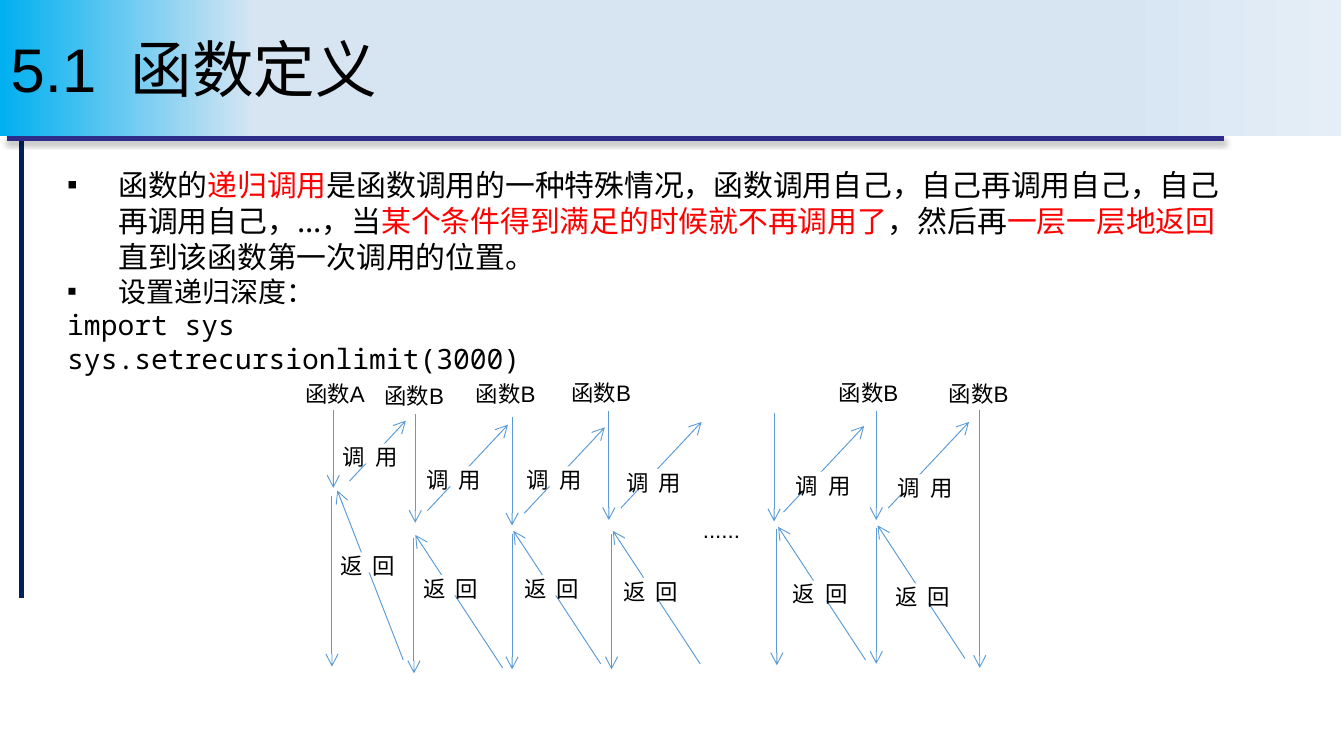
from dataclasses import dataclass

from lxml import etree
from pptx import Presentation
from pptx.dml.color import RGBColor
from pptx.enum.shapes import MSO_CONNECTOR, MSO_SHAPE
from pptx.enum.text import MSO_ANCHOR, PP_ALIGN
from pptx.oxml.ns import qn
from pptx.util import Pt

STRAIGHT = MSO_CONNECTOR.STRAIGHT
RECT = MSO_SHAPE.RECTANGLE
TOP, MIDDLE = MSO_ANCHOR.TOP, MSO_ANCHOR.MIDDLE
LEFT = PP_ALIGN.LEFT
PX = 9144  # 100 px to the inch


@dataclass(frozen=True)
class Theme:
    ink: str = "000000"
    accent: str = "FF0000"
    paper: str = "FFFFFF"
    arrow: str = "5B9BD5"
    side_rule: str = "002060"
    top_rule: str = "2D2D89"
    banner: tuple = ((0, "00B0F0"), (19, "D7E5F3"), (83, "D7E5F3"), (100, "E5EEF7"))
    latin: str = "Arial"
    cjk: str = "Noto Sans CJK SC"
    mono: str = "Noto Sans Mono"
    title: int = 33
    body: int = 16
    small: int = 15
    label: int = 12


def child(parent, tag, **attrs):
    return etree.SubElement(parent, qn(tag), {k: str(v) for k, v in attrs.items()})


class Deck:
    def __init__(self, prs, theme):
        self.theme = theme
        self.s = prs.slides.add_slide(prs.slide_layouts[6])
        self.shapes = self.s.shapes

    def group(self):
        self.shapes = self.s.shapes.add_group_shape().shapes

    def ungroup(self):
        self.shapes = self.s.shapes

    def font(self, p, size, name, color=None):
        p.alignment = LEFT
        p.font.size = Pt(size)
        p.font.name = name
        if color:
            p.font.color.rgb = RGBColor.from_string(color)
        child(p.font._element, "a:ea", typeface=self.theme.cjk)

    def frame(self, sp, insets, anchor=TOP):
        tf = sp.text_frame
        tf.word_wrap = True
        tf.vertical_anchor = anchor
        tf.margin_left = tf.margin_right = insets[0] * PX
        tf.margin_top = tf.margin_bottom = insets[1] * PX
        return tf

    def line(self, x, y, dx, dy, color, width, arrow=False, shadow=False):
        c = self.shapes.add_connector(
            STRAIGHT, x * PX, y * PX, (x + dx) * PX, (y + dy) * PX)
        c.line.color.rgb = RGBColor.from_string(color)
        c.line.width = Pt(width)
        if arrow:
            child(c.line._get_or_add_ln(), "a:tailEnd", type="arrow")
        effects = child(c._element.spPr, "a:effectLst")
        if shadow:
            sh = child(effects, "a:outerShdw", blurRad=Pt(3.1), dist=Pt(1.8),
                       dir=90 * 60000, rotWithShape=0)
            child(child(sh, "a:srgbClr", val=self.theme.ink), "a:alpha", val=35000)

    def arrow(self, x, y, dx, dy):
        self.line(x, y, dx, dy, self.theme.arrow, 0.5, arrow=True)

    def box(self, x, y, w, h, text, size, insets=(0, 0), anchor=TOP):
        sp = self.shapes.add_shape(RECT, x * PX, y * PX, w * PX, h * PX)
        sp.shadow.inherit = False
        sp.fill.solid()
        sp.fill.fore_color.rgb = RGBColor.from_string(self.theme.paper)
        sp.line.fill.background()
        p = self.frame(sp, insets, anchor).paragraphs[0]
        p.text = text
        self.font(p, size, self.theme.latin, self.theme.ink)
        return sp

    def banner(self, x, y, w, h, text):
        sp = self.box(x, y, w, h, text, self.theme.title, (8, 4), MIDDLE)
        sp.fill.gradient()
        sp.fill.gradient_angle = 0
        stops = sp._element.spPr.find(qn("a:gradFill")).find(qn("a:gsLst"))
        for gs in list(stops):
            stops.remove(gs)
        for pos, color in self.theme.banner:
            child(child(stops, "a:gs", pos=pos * 1000), "a:srgbClr", val=color)

    def body(self, x, y, w, h, paragraphs):
        tb = self.shapes.add_textbox(x * PX, y * PX, w * PX, h * PX)
        tf = self.frame(tb, (7, 4))
        for i, (runs, size, name, bullet) in enumerate(paragraphs):
            p = tf.paragraphs[0] if i == 0 else tf.add_paragraph()
            p.line_spacing = 1.0
            if bullet:
                pPr = p._p.get_or_add_pPr()
                pPr.set("marL", str(38 * PX))
                pPr.set("indent", str(-38 * PX))
                child(pPr, "a:buFont", typeface=self.theme.latin)
                child(pPr, "a:buChar", char="▪")
            self.font(p, size, name)
            for text, color in runs:
                r = p.add_run()
                r.text = text
                r.font.color.rgb = RGBColor.from_string(color)


def main():
    t = Theme()
    prs = Presentation()
    prs.slide_width = 1000 * PX
    prs.slide_height = prs.slide_width * 9 // 16
    d = Deck(prs, t)

    # Rules beside and above the text
    d.line(16, 81, 0, 364, t.side_rule, 2.25)
    d.line(5, 103, 906, 0, t.top_rule, 2.25, shadow=True)

    # Body text
    recursion = [
        ("函数的", t.ink), ("递归调用", t.accent),
        ("是函数调用的一种特殊情况，函数调用自己，自己再调用自己，自己再调用自己，...，当", t.ink),
        ("某个条件得到满足的时候就不再调用了", t.accent), ("，然后再", t.ink),
        ("一层一层地返回", t.accent), ("直到该函数第一次调用的位置。", t.ink),
    ]
    d.body(43, 120, 882, 371, [
        (recursion, t.body, t.cjk, True),
        ([("设置递归深度：", t.ink)], t.small, t.cjk, True),
        ([("import sys", t.ink)], t.small, t.mono, False),
        ([("sys.setrecursionlimit(3000)", t.ink)], t.small, t.mono, False),
    ])

    # Call levels: start of run, call, return and resumed run, then label corner
    first = ((248, 305), (260, 358), (300, 491), (247, 369), (255, 330))
    inner = [
        ((309, 308), (318, 380), (374, 497), (308, 400), (317, 347)),
        ((381, 310), (390, 382), (447, 494), (381, 397), (392, 347)),
        ((453, 306), (462, 378), (521, 494), (455, 397), (466, 349)),
        ((576, 307), (583, 381), (644, 491), (578, 394), (592, 351)),
        ((652, 306), (661, 378), (718, 490), (652, 393), (668, 353)),
    ]
    first_steps = ((0, 58), (42, -45), (-49, -126), (0, 127))
    inner_steps = ((0, 81), (60, -64), (-65, -99), (0, 101))
    levels = [(first, first_steps)] + [(level, inner_steps) for level in inner]
    after_gap = inner[3][0]

    # Arrows
    d.group()
    for level, steps in levels:
        for start, step in zip(level, steps):
            if start != after_gap:
                d.arrow(*start, *step)
    d.arrow(729, 305, 0, 192)  # deepest call runs straight through

    # Labels
    d.box(523, 379, 53, 23, "......", t.label, (0, 5))
    names = [(227, 283, "A"), (286, 284, "B"), (354, 283, "B"),
             (425, 282, "B"), (624, 282, "B"), (706, 283, "B")]
    for x, y, letter in names:
        d.box(x, y, 49, 14, "函数" + letter, t.label)
    for level, _ in levels:
        x, y = level[-1]
        d.box(x, y, 49, 15, "调  用", t.label)
        d.box(x - 2, y + 81, 49, 15, "返  回", t.label)

    # The arrow beside the dots lies over their box
    d.arrow(*after_gap, *inner_steps[0])
    d.ungroup()

    # Title
    d.banner(0, 0, 998, 101, "5.1  函数定义")
    prs.save("out.pptx")


if __name__ == "__main__":
    main()
